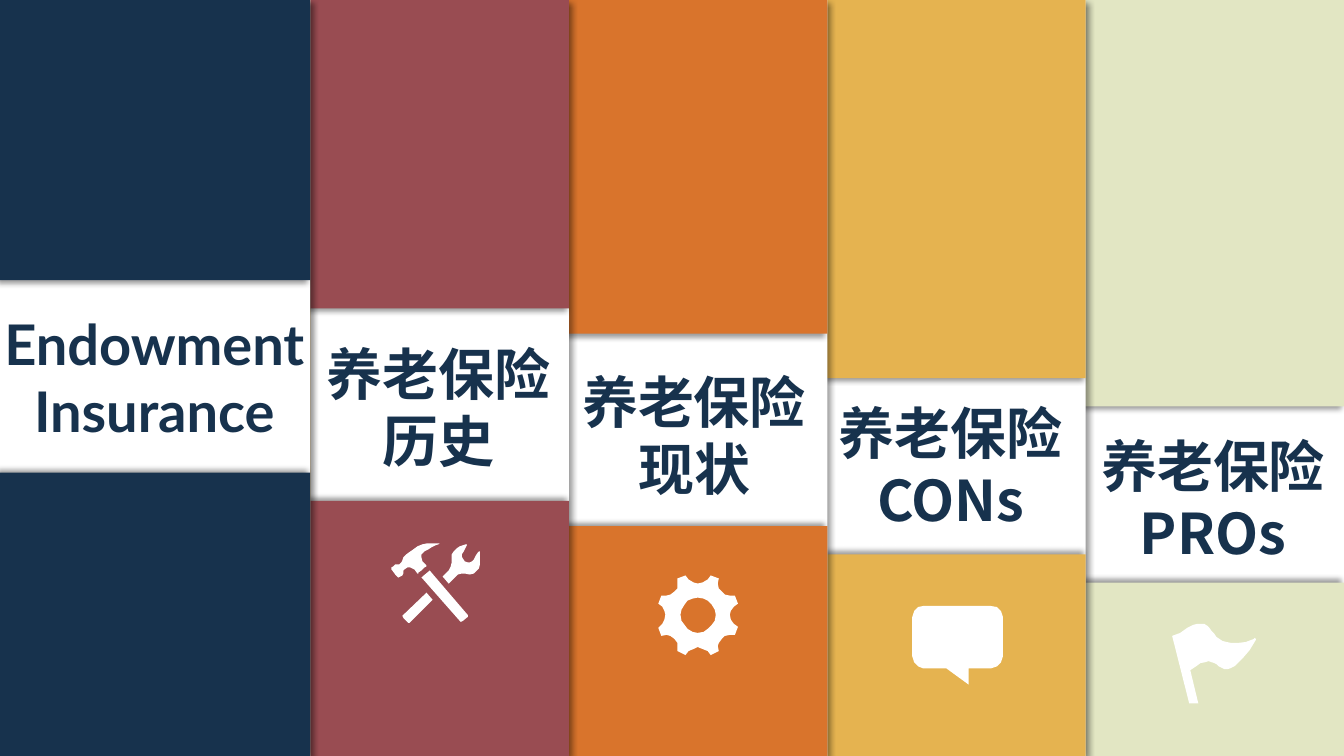
from pptx import Presentation
from pptx.util import Cm, Pt
from pptx.dml.color import RGBColor
from pptx.enum.shapes import MSO_SHAPE
from pptx.enum.text import PP_ALIGN, MSO_AUTO_SIZE
from pptx.oxml import parse_xml
from pptx.oxml.ns import nsdecls
from lxml.etree import SubElement

WIDTH, HEIGHT = 33.87, 19.05
FIRST_W, STEP, COLUMN_W = 7.82, 6.51, 6.52
LABEL_H = 3.63
NAVY, WHITE, GOLD = "17324D", "FFFFFF", "E7B552"
LATO, NOTO = "Lato", "Noto Sans CJK SC"

TOOLS = [
    "35,49 41,56 19,78 18,79 17,79 16,78 12,74 11,72 12,71",
    "38,27 39,28 75,70 76,71 76,73 71,77 69,78 68,77 31,35 30,34 31,33 37,28",
    "74,1 75,1 75,2 72,8 70,11 70,13 71,15 73,18 76,19 78,19 80,18 82,16 84,12 86,9 "
    "87,8 88,8 88,17 88,21 87,25 84,28 82,30 78,31 73,30 70,30 66,31 64,33 57,40 51,33 "
    "57,27 59,23 60,19 60,11 62,8 65,5 68,3 71,2",
    "42,0 46,0 48,0 47,1 44,2 40,4 37,6 33,8 30,11 30,14 31,18 33,20 34,21 35,22 35,23 "
    "33,24 30,27 27,29 27,30 26,30 23,26 19,24 16,24 13,26 12,27 12,30 11,32 9,33 "
    "7,34 6,33 4,31 1,27 0,26 0,24 2,23 4,21 8,21 10,19 11,17 12,14 15,11 19,8 "
    "22,6 26,3 31,1 36,0",
]
GEAR = [
    "39,22 34,23 29,25 26,29 23,34 22,39 23,45 26,49 29,53 34,56 39,57 45,56 49,53 53,49 "
    "56,45 57,39 56,34 53,29 49,25 45,23",
    "27,0 30,4 35,7 39,8 44,7 49,4 52,0 60,3 59,8 60,13 63,16 66,19 71,20 76,20 79,28 "
    "75,31 72,35 71,39 72,44 75,48 79,51 76,59 71,59 66,60 63,63 60,67 59,70 60,75 "
    "52,79 49,75 44,73 39,71 35,73 30,75 27,79 19,75 19,70 19,67 16,63 12,60 8,59 3,60 "
    "0,52 4,48 6,44 7,39 6,35 4,31 0,28 3,20 8,20 12,19 16,16 19,13 19,8 19,3",
]
BUBBLE = [
    "11,0 78,0 84,1 88,5 90,11 90,50 88,56 84,60 78,62 56,62 56,78 34,62 11,62 6,60 "
    "2,56 0,50 0,11 2,5 6,1",
]
FLAG = [
    "29,0 32,0 35,2 37,4 39,7 42,10 44,13 47,15 50,17 54,18 59,19 65,19 73,18 81,15 "
    "82,14 83,15 83,16 77,26 71,33 66,38 62,42 58,44 55,45 52,45 50,44 48,43 46,42 "
    "44,40 42,39 39,38 36,37 33,38 28,39 24,42 18,46 26,79 17,79 0,12 8,9 15,4 21,1 25,0",
]

COLUMNS = [
    (NAVY, 7.06, 11.91, 3.89, 7.67, LATO, ["Endowment Insurance"], None),
    ("994C52", 7.77, 12.62, 11.06, 8.43, LATO, ["养老保险", "历史"], (9.86, 13.69, TOOLS)),
    ("D9742C", 8.41, 13.26, 17.49, 9.14, LATO, ["养老保险", "现状"], (16.59, 14.5, GEAR)),
    ("E5B350", 9.53, 13.97, 23.96, 9.91, NOTO, ["养老保险", "CONs"], (22.99, 15.27, BUBBLE)),
    ("E2E6C3", 10.24, 14.68, 30.57, 10.74, NOTO, ["养老保险", "PROs"], (29.54, 15.72, FLAG)),
]


def rgb(color):
    return RGBColor.from_string(color)


def paint(sp, color):
    sp.fill.solid()
    sp.fill.fore_color.rgb = rgb(color)
    sp.line.fill.background()
    sp.shadow.inherit = False


def add_shadow(sp, angle):
    effects = sp._element.spPr.find("{*}effectLst")
    effects.append(parse_xml(
        f'<a:outerShdw {nsdecls("a")} blurRad="{Pt(4)}" dist="{Pt(3)}" dir="{angle * 60000}" '
        'algn="ctr" rotWithShape="0"><a:srgbClr val="000000"><a:alpha val="40000"/>'
        '</a:srgbClr></a:outerShdw>'))


def add_panel(x, y, w, h, color, angle=None):
    sp = s.shapes.add_shape(MSO_SHAPE.RECTANGLE, Cm(x), Cm(y), Cm(w), Cm(h))
    paint(sp, color)
    if angle is not None:
        add_shadow(sp, angle)


def add_label(center, y, w, font, lines):
    sp = s.shapes.add_textbox(Cm(center - w / 2), Cm(y), Cm(w), Cm(LABEL_H))
    tf = sp.text_frame
    tf.word_wrap = True
    tf.auto_size = MSO_AUTO_SIZE.SHAPE_TO_FIT_TEXT
    for i, line in enumerate(lines):
        p = tf.add_paragraph() if i else tf.paragraphs[0]
        p.alignment = PP_ALIGN.CENTER
        r = p.add_run()
        r.text = line
        r.font.size, r.font.bold, r.font.name = Pt(40), True, font
        r.font.color.rgb = rgb(NAVY)
        latin = r._r.rPr.find("{*}latin")
        SubElement(r._r.rPr, latin.tag.replace("latin", "ea")).set("typeface", LATO)


def add_icon(x, y, outlines):
    builder = None
    for outline in outlines:
        points = [tuple(map(int, pair.split(","))) for pair in outline.split()]
        if builder is None:
            builder = s.shapes.build_freeform(*points[0], scale=Cm(0.0254))
        else:
            builder.move_to(*points[0])
        builder.add_line_segments(points[1:], close=True)
    paint(builder.convert_to_shape(Cm(x), Cm(y)), WHITE)


prs = Presentation()
prs.slide_width, prs.slide_height = Cm(WIDTH), Cm(HEIGHT)
s = prs.slides.add_slide(prs.slide_layouts[6])
add_panel(0, 0, WIDTH, HEIGHT, GOLD)

for i, column in reversed(list(enumerate(COLUMNS))):
    color, top, bottom, center, label_y, font, lines, icon = column
    x = FIRST_W + STEP * (i - 1) if i else 0
    w = COLUMN_W if i else FIRST_W
    add_panel(x, 0, w, HEIGHT, WHITE, 45)
    add_panel(x, 0, w, top, color, 135)
    add_panel(x, bottom, w, HEIGHT - bottom, color, 225)
    add_label(center, label_y, 7.85 if i else 8.69, font, lines)
    if icon:
        add_icon(*icon)

prs.save("out.pptx")
